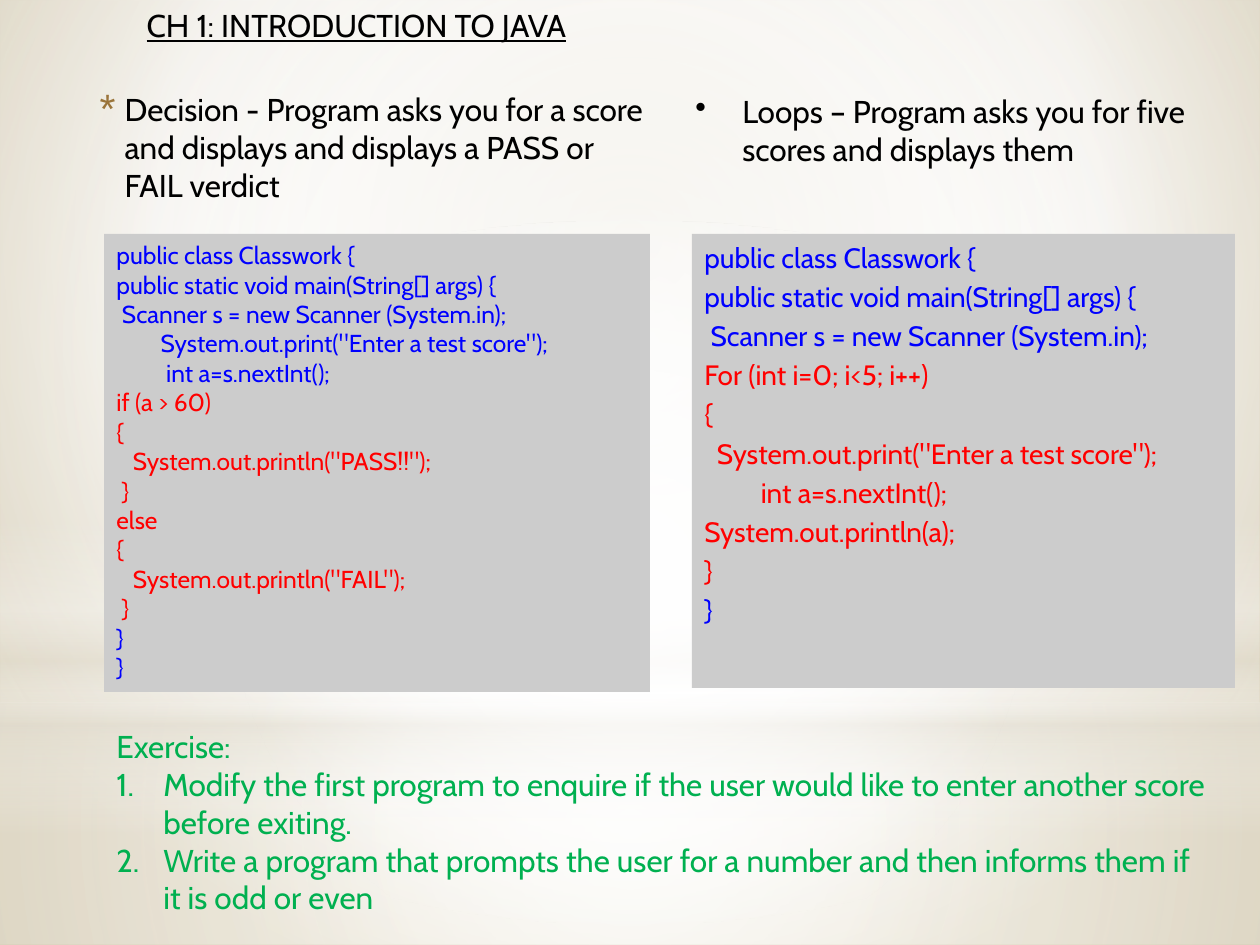
from lxml import etree
from pptx import Presentation
from pptx.dml.color import RGBColor
from pptx.enum.shapes import MSO_SHAPE
from pptx.enum.text import MSO_ANCHOR, MSO_AUTO_SIZE, PP_ALIGN
from pptx.oxml import parse_xml
from pptx.oxml.ns import nsdecls, qn
from pptx.util import Pt

SCALE = 914400 / 126  # EMU in one px
FONT = "Cabin"
BLACK = RGBColor(0x00, 0x00, 0x00)
BLUE = RGBColor(0x00, 0x00, 0xFF)
RED = RGBColor(0xFF, 0x00, 0x00)
GREEN = RGBColor(0x00, 0xB0, 0x50)
GREY = RGBColor(0xCC, 0xCC, 0xCC)
WHITE = RGBColor(0xFF, 0xFF, 0xFF)
CREAM = RGBColor(0xE3, 0xDE, 0xD1)
SAND = RGBColor(0xDE, 0xD7, 0xC4)
TAN = RGBColor(0xCA, 0xBB, 0x94)
BROWN = RGBColor(0x9A, 0x74, 0x3A)

DECIDE_CODE = [
    (BLUE, """public class Classwork {
public static void main(String[] args) {
 Scanner s = new Scanner (System.in);
        System.out.print("Enter a test score");
         int a=s.nextInt();"""),
    (RED, """if (a > 60)
{
   System.out.println("PASS!!");
 }
else
{
   System.out.println("FAIL");
 }"""),
    (BLUE, "}\n}"),
]
LOOP_CODE = [
    (BLUE, """public class Classwork {
public static void main(String[] args) {
 Scanner s = new Scanner (System.in);"""),
    (RED, """For (int i=0; i<5; i++)
{
  System.out.print("Enter a test score");
         int a=s.nextInt();
System.out.println(a);
}"""),
    (BLUE, "}"),
]


def px(n):
    return round(n * SCALE)


def place(shape, box):
    shape.left, shape.top, shape.width, shape.height = map(px, box)


def setup(frame):
    frame.word_wrap = True
    frame.auto_size = MSO_AUTO_SIZE.NONE
    frame.vertical_anchor = MSO_ANCHOR.TOP
    return frame


def write(frame, text, color=BLACK, size=18, gap=0, line=False,
          indent=0, mark=None, tint=None, grow=None):
    """Append one paragraph for each line of text."""
    for row in text.split("\n"):
        first = not frame.text
        para = frame.paragraphs[0] if first else frame.add_paragraph()
        para.alignment = PP_ALIGN.LEFT
        para.space_before = Pt(0 if first else gap)
        if mark:
            props = para._p.get_or_add_pPr()
            props.set("marL", str(px(indent)))
            props.set("indent", str(-px(indent)))
            if tint:
                shade = etree.SubElement(props, qn("a:buClr"))
                etree.SubElement(shade, qn("a:srgbClr"), val=str(tint))
            if grow:
                etree.SubElement(props, qn("a:buSzPct"), val=str(grow * 1000))
            if mark == "1.":
                etree.SubElement(props, qn("a:buAutoNum"), type="arabicPeriod")
            else:
                etree.SubElement(props, qn("a:buChar"), char=mark)
        run = para.add_run()
        run.text = row
        font = run.font
        font.name, font.size, font.underline = FONT, Pt(size), line
        font.color.rgb = color


def blend(holder, stops, focus=None):
    """Swap the solid fill of holder for a gradient; no focus means downward."""
    marks = "".join(
        f'<a:gs pos="{pos * 1000}"><a:srgbClr val="{color}">'
        f'<a:alpha val="{alpha * 1000}"/></a:srgbClr></a:gs>'
        for pos, color, alpha in stops)
    if focus:
        sides = " ".join(f'{k}="{v * 1000}"' for k, v in zip("ltrb", focus))
        way = f'<a:path path="circle"><a:fillToRect {sides}/></a:path>'
    else:
        way = '<a:lin ang="5400000" scaled="0"/>'
    grad = parse_xml(f'<a:gradFill {nsdecls("a")} rotWithShape="1">'
                     f'<a:gsLst>{marks}</a:gsLst>{way}</a:gradFill>')
    holder.replace(holder.find(qn("a:solidFill")), grad)


def panel(slide, box, color, kind=MSO_SHAPE.RECTANGLE):
    shape = slide.shapes.add_shape(kind, *map(px, box))
    shape.shadow.inherit = False
    shape.fill.solid()
    shape.fill.fore_color.rgb = color
    shape.line.fill.background()
    return shape


def backdrop(slide, wide, high):
    slide.background.fill.solid()
    blend(slide._element.find(".//" + qn("p:bgPr")),
          [(0, SAND, 100), (60, WHITE, 100), (100, TAN, 100)], (20, 10, 20, 60))
    mid = (50, 50, 50, 50)
    split = 703
    layers = [
        ((0, split, wide, high - split), MSO_SHAPE.RECTANGLE, mid,
         [(0, WHITE, 91), (37, WHITE, 76), (100, CREAM, 79)]),
        ((0, 0, wide, split), MSO_SHAPE.RECTANGLE, mid,
         [(0, WHITE, 89), (48, WHITE, 62), (100, CREAM, 79)]),
        ((0, 519, wide, 315), MSO_SHAPE.RECTANGLE, None,
         [(0, WHITE, 0), (29, WHITE, 30), (45, CREAM, 40),
          (55, WHITE, 26), (65, CREAM, 60), (100, WHITE, 0)]),
        ((0, 221, wide, 703), MSO_SHAPE.OVAL, mid,
         [(0, WHITE, 100), (56, WHITE, 0)]),
    ]
    tree = slide.shapes._spTree
    for spot, (box, kind, focus, stops) in enumerate(layers, 2):
        shape = panel(slide, box, WHITE, kind)
        blend(shape._element.spPr, stops, focus)
        tree.insert(spot, shape._element)  # behind the placeholders


def title(slide, box):
    shape = slide.shapes.title
    place(shape, box)
    write(setup(shape.text_frame), "CH 1: INTRODUCTION TO JAVA", line=True)


def body(slide, box):
    shape = slide.placeholders[1]
    place(shape, box)
    write(setup(shape.text_frame),
          "Decision - Program asks you for a score and displays "
          "and displays a PASS or FAIL verdict",
          indent=25, mark="*", tint=BROWN, grow=130)
    # The text starts a little to the right of the hanging mark
    shape.text_frame.paragraphs[0]._p.pPr.set("marL", str(px(31)))


def textbox(slide, box):
    return setup(slide.shapes.add_textbox(*map(px, box)).text_frame)


def loops(slide, box):
    write(textbox(slide, box),
          "Loops – Program asks you for five scores and displays them",
          indent=47, mark="•")


def tasks(slide, box):
    frame = textbox(slide, box)
    write(frame, "Exercise:", color=GREEN)
    write(frame,
          "Modify the first program to enquire if the user would like "
          "to enter another score before exiting.\n"
          "Write a program that prompts the user for a number and then "
          "informs them if it is odd or even",
          color=GREEN, indent=47, mark="1.")


def code(slide, box, parts, size, gap=0):
    frame = setup(panel(slide, box, GREY).text_frame)
    for color, text in parts:
        write(frame, text, color=color, size=size, gap=gap)


def main():
    deck = Presentation()
    wide, high = 1260, 945
    deck.slide_width, deck.slide_height = px(wide), px(high)
    slide = deck.slides.add_slide(deck.slide_layouts[1])
    backdrop(slide, wide, high)
    title(slide, (134, 0, 843, 50))
    body(slide, (81, 84, 578, 113))
    loops(slide, (683, 86, 577, 100))
    tasks(slide, (104, 721, 1122, 204))
    code(slide, (104, 234, 546, 458), DECIDE_CODE, 14)
    code(slide, (692, 234, 543, 454), LOOP_CODE, 16, gap=3.2)
    deck.save("out.pptx")


if __name__ == "__main__":
    main()
